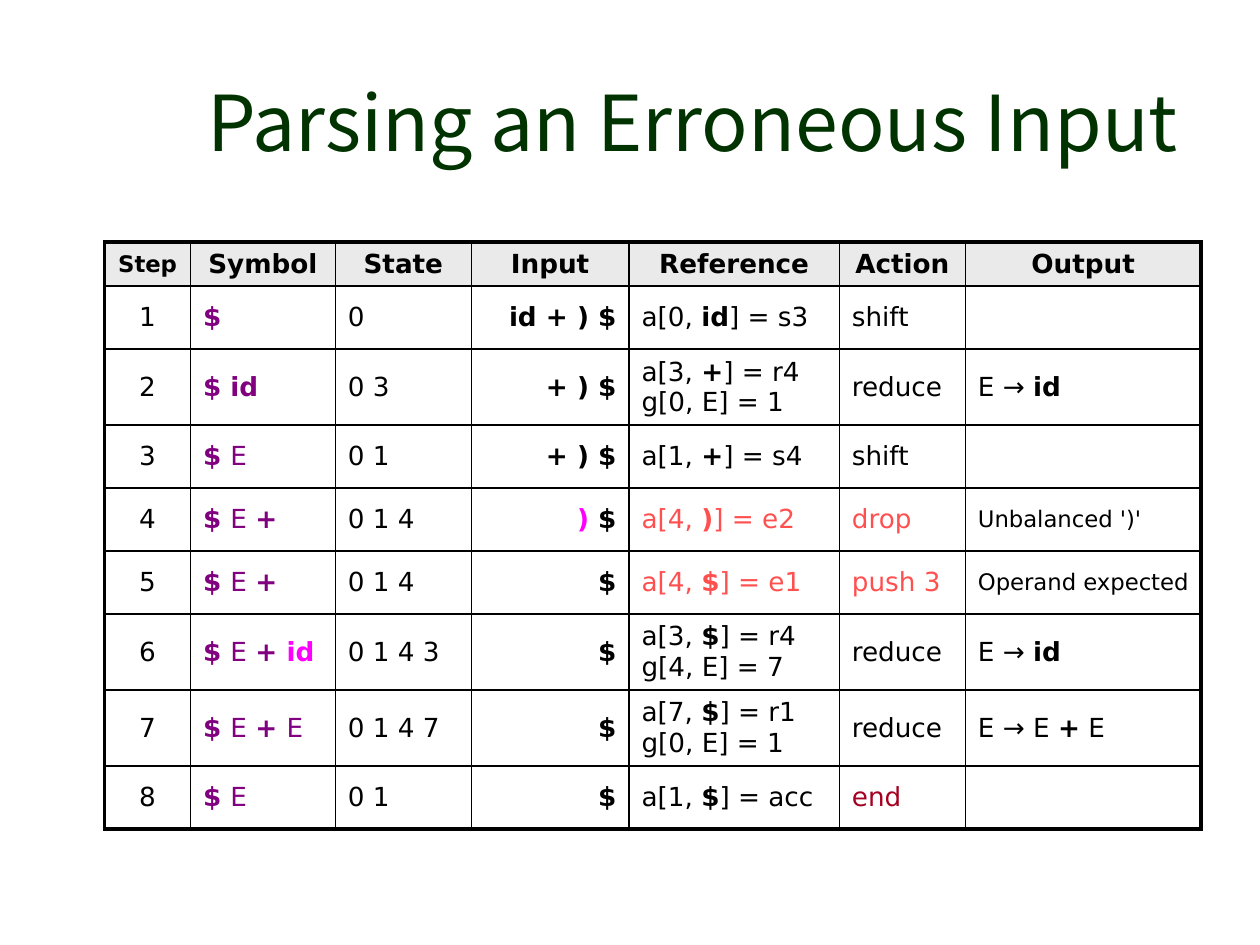
from lxml.etree import SubElement
from pptx import Presentation
from pptx.dml.color import RGBColor as RGB
from pptx.enum.text import MSO_ANCHOR as Anchor, PP_ALIGN as Align
from pptx.oxml.ns import qn
from pptx.util import Cm, Pt

# Content: *bold*, and ^ at the start of a bold part marks it as new
TITLE = "Parsing an Erroneous Input"
HEADS = ["Step", "Symbol", "State", "Input", "Reference", "Action", "Output"]
STEPS = [
    ("*$*", "0", "*id + ) $*", "a[0, *id*] = s3", "shift", ""),
    ("*$ id*", "0 3", "*+ ) $*", "a[3, *+*] = r4\ng[0, E] = 1", "reduce", "E → *id*"),
    ("*$ *E", "0 1", "*+ ) $*", "a[1, *+*] = s4", "shift", ""),
    ("*$ *E *+*", "0 1 4", "*^) **$*", "a[4, *)*] = e2", "drop", "Unbalanced ')'"),
    ("*$ *E *+*", "0 1 4", "*$*", "a[4, *$*] = e1", "push 3", "Operand expected"),
    ("*$ *E *+ **^id*", "0 1 4 3", "*$*", "a[3, *$*] = r4\ng[4, E] = 7", "reduce", "E → *id*"),
    ("*$ *E *+ *E", "0 1 4 7", "*$*", "a[7, *$*] = r1\ng[0, E] = 1", "reduce", "E → E *+* E"),
    ("*$ *E", "0 1", "*$*", "a[1, *$*] = acc", "end", ""),
]

# Formats
WIDTHS = [1.73, 2.92, 2.74, 3.18, 4.24, 2.54, 4.75]
HEAD_H, ROW_H, TALL_H = 0.89, 1.27, 1.53
ALIGNS = [Align.CENTER, Align.LEFT, Align.LEFT, Align.RIGHT] + [Align.LEFT] * 3
BLACK, PURPLE, PINK = "000000", "800080", "FF00FF"
RED, DARK_RED = "FF5050", "A50021"
INKS = {(4, 4): RED, (4, 5): RED, (5, 4): RED, (5, 5): RED, (8, 5): DARK_RED}
SMALL = {(0, 0), (4, 6), (5, 6)}
THIN, THICK = 1, 2.25


def color(code):
    return RGB.from_string(code)


def style(font, size, ink, bold=False, name="DejaVu Sans"):
    for key, val in {"name": name, "size": Pt(size), "bold": bold}.items():
        setattr(font, key, val)
    font.color.rgb = color(ink)


def write(cell, text, size, ink, align):
    cell.vertical_anchor = Anchor.MIDDLE
    frame = cell.text_frame
    for n, line in enumerate(text.split("\n")):
        para = frame.add_paragraph() if n else frame.paragraphs[0]
        para.alignment = align
        for i, part in enumerate(line.split("*")):
            if part:
                run = para.add_run()
                run.text = part.lstrip("^")
                style(run.font, size, PINK if part[0] == "^" else ink, i % 2 == 1)


def border(cell, sides):
    props = cell._tc.get_or_add_tcPr()
    for at, (side, width) in enumerate(sides.items()):
        line = SubElement(props, qn("a:ln" + side), w=str(Pt(width)))
        fill = SubElement(line, qn("a:solidFill"))
        SubElement(fill, qn("a:srgbClr"), val=BLACK)
        props.insert(at, line)  # lines go before the fill


deck = Presentation()
deck.slide_width, deck.slide_height = Cm(25.4), Cm(19.05)
slide = deck.slides.add_slide(deck.slide_layouts[5])

# Title
title = slide.shapes.title
box = {"left": 3.81, "top": 0.84, "width": 20.32, "height": 3.18}
for key, val in box.items():
    setattr(title, key, Cm(val))
title.text_frame.text = TITLE
title.text_frame.vertical_anchor = Anchor.MIDDLE
head = title.text_frame.paragraphs[0]
head.alignment = Align.CENTER
style(head.runs[0].font, 44, "003300", name="Noto Sans CJK SC")

# Table grid
rows = [[f"*{name}*" for name in HEADS]]
rows += [(str(n), *step) for n, step in enumerate(STEPS, 1)]
tall = [any("\n" in text for text in row) for row in rows]
highs = [HEAD_H] + [TALL_H if big else ROW_H for big in tall[1:]]
table = slide.shapes.add_table(len(rows), len(HEADS), Cm(2.11), Cm(4.88),
                               Cm(sum(WIDTHS)), Cm(sum(highs))).table
table.first_row = table.horz_banding = False
for col, width in zip(table.columns, WIDTHS):
    col.width = Cm(width)
for row, high in zip(table.rows, highs):
    row.height = Cm(high)

# Table cells
end_r, end_c = len(rows) - 1, len(HEADS) - 1
for r, row in enumerate(rows):
    for c, text in enumerate(row):
        cell = table.cell(r, c)
        ink = INKS.get((r, c), PURPLE if r and c == 1 else BLACK)
        size = 13 if (r, c) in SMALL else 15
        write(cell, text, size, ink, ALIGNS[c] if r else Align.CENTER)
        cell.fill.solid()
        cell.fill.fore_color.rgb = color("FFFFFF" if r else "EAEAEA")
        edges = {"L": c == 0, "R": c == end_c, "T": r == 0, "B": r == end_r}
        border(cell, {side: THICK if outer else THIN for side, outer in edges.items()})

deck.save("out.pptx")
